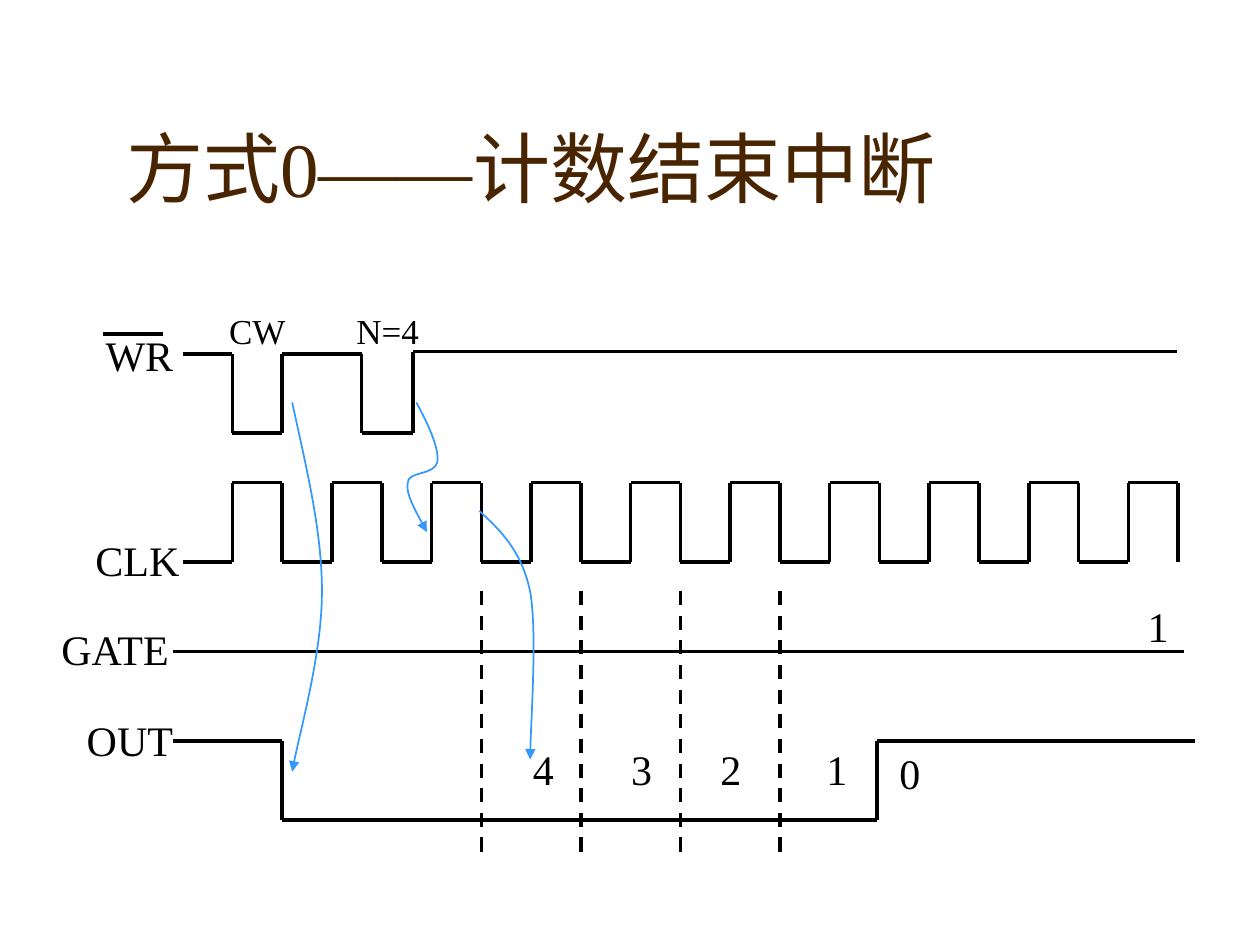
import itertools

import lxml.etree
import pptx
import pptx.dml.color
import pptx.enum.dml
import pptx.enum.shapes
import pptx.enum.text
import pptx.oxml.ns
import pptx.util

Pt = pptx.util.Pt
FONT = "Times New Roman"
INK, TITLE_BROWN, CAUSE_BLUE = "000000", "482400", "3399FF"

CLOCK_START, HALF_PERIOD, HALF_COUNT = 104.4, 28.44, 20
CLOCK_HIGH, CLOCK_LOW = 275.8, 321.1
WRITE_HIGH, WRITE_LOW = 202.3, 247.5
OUT_HIGH, OUT_LOW = 423.4, 468.7


def color(hex_string):
    return pptx.dml.color.RGBColor.from_string(hex_string)


def clock_edge(number):
    return CLOCK_START + number * HALF_PERIOD


def style_font(font, size, hex_string):
    font.name = FONT
    font.size = Pt(size)
    font.color.rgb = color(hex_string)


def add_title(slide, text):
    title = slide.shapes.title
    title.left, title.top, title.width, title.height = Pt(65), Pt(35.3), Pt(612), Pt(90)
    frame = title.text_frame
    frame.text = text
    frame.auto_size = pptx.enum.text.MSO_AUTO_SIZE.NONE
    frame.vertical_anchor = pptx.enum.text.MSO_ANCHOR.BOTTOM
    paragraph = frame.paragraphs[0]
    paragraph.alignment = pptx.enum.text.PP_ALIGN.LEFT
    style_font(paragraph.font, 44, TITLE_BROWN)


def add_label(slide, text, left, top, width=102, size=24):
    label = slide.shapes.add_textbox(Pt(left), Pt(top), Pt(width), Pt(size * 1.5))
    label.text_frame.word_wrap = True
    label.text_frame.text = text
    style_font(label.text_frame.paragraphs[0].font, size, INK)


def add_line(slide, start, end, dashed=False):
    line = slide.shapes.add_connector(
        pptx.enum.shapes.MSO_CONNECTOR.STRAIGHT, *map(Pt, start + end))
    line.line.color.rgb = color(INK)
    line.line.width = Pt(2)
    if dashed:
        line.line.dash_style = pptx.enum.dml.MSO_LINE.DASH
    properties = line.line._get_or_add_ln().getparent()
    lxml.etree.SubElement(properties, pptx.oxml.ns.qn("a:effectLst"))


def add_signal(slide, points):
    for start, end in itertools.pairwise(points):
        add_line(slide, start, end)


def add_cause_arrow(slide, points):
    """Draw Bezier curves: a start, then two controls and an end per curve."""
    qn = pptx.oxml.ns.qn
    builder = slide.shapes.build_freeform(*points[0], scale=Pt(1))
    builder.add_line_segments(points[1:], close=False)
    arrow = builder.convert_to_shape()
    segments = list(arrow._element.iter(qn("a:lnTo")))
    for first in range(0, len(segments), 3):
        curve = lxml.etree.Element(qn("a:cubicBezTo"))
        segments[first].addprevious(curve)
        for segment in segments[first:first + 3]:
            curve.append(segment[0])
            segment.getparent().remove(segment)
    arrow.shadow.inherit = False
    arrow.fill.background()
    arrow.line.color.rgb = color(CAUSE_BLUE)
    arrow.line.width = Pt(1)
    lxml.etree.SubElement(arrow.line._get_or_add_ln(), qn("a:tailEnd"), type="triangle")


def add_write_signal(slide):
    add_label(slide, "WR", 53.3, 185)
    add_line(slide, (59, 190.8), (92.9, 190.8))
    fall, rise = clock_edge(1), clock_edge(2)
    add_signal(slide, [
        (CLOCK_START, WRITE_HIGH), (fall, WRITE_HIGH), (fall, WRITE_LOW),
        (rise, WRITE_LOW), (rise, WRITE_HIGH), (206.6, WRITE_HIGH),
        (206.6, WRITE_LOW), (236, WRITE_LOW), (236, 200.9), (672.8, 200.9)])
    add_label(slide, "CW", 123.8, 173.5, 68.4, 20)
    add_label(slide, "N=4", 196.6, 173.5, size=20)


def add_clock_signal(slide):
    add_label(slide, "CLK", 47.5, 301.7)
    points = []
    for half in range(HALF_COUNT):
        level = CLOCK_HIGH if half % 2 else CLOCK_LOW
        points += [(clock_edge(half), level), (clock_edge(half + 1), level)]
    add_signal(slide, points + [(clock_edge(HALF_COUNT), CLOCK_LOW)])


def add_gate_signal(slide):
    add_label(slide, "GATE", 28, 352.8)
    add_line(slide, (98.6, 372.2), (676.8, 372.2))
    add_label(slide, "1", 648.7, 339.8)


def add_out_signal(slide):
    add_label(slide, "OUT", 42.5, 404.6)
    fall, rise = clock_edge(2), 501.1
    add_signal(slide, [
        (98.6, OUT_HIGH), (fall, OUT_HIGH), (fall, OUT_LOW),
        (rise, OUT_LOW), (rise, OUT_HIGH), (682.6, OUT_HIGH)])
    counts = [("4", 297.4), ("3", 353.5), ("2", 404.6), ("1", 465.1)]
    for count, left in counts:
        add_label(slide, count, left, 421.2, 23)
    add_label(slide, "0", 506.9, 423.4, 23)


def main():
    deck = pptx.Presentation()
    deck.slide_width, deck.slide_height = Pt(720), Pt(540)
    slide = deck.slides.add_slide(deck.slide_layouts.get_by_name("Title Only"))

    add_title(slide, "方式0——计数结束中断")
    add_write_signal(slide)
    add_clock_signal(slide)
    add_gate_signal(slide)
    add_out_signal(slide)
    for edge in range(6, 13, 2):
        add_line(slide, (clock_edge(edge), 337.7), (clock_edge(edge), 491), dashed=True)

    add_cause_arrow(slide, [
        (167, 230.4), (175, 267.1), (183.6, 303.1), (183.6, 338.4),
        (183.6, 373), (169.9, 423.4), (167, 440.6)])
    add_cause_arrow(slide, [
        (238.3, 230.4), (244.8, 243.4), (250.6, 256.3), (249.8, 264.2),
        (248.4, 272.2), (233.3, 269.3), (232.6, 275.8),
        (231.8, 282.2), (238.3, 293), (244.1, 303.8)])
    add_cause_arrow(slide, [
        (274.3, 292.3), (286.6, 303.8), (298.1, 314.6), (303.1, 337.7),
        (307.4, 361.4), (303.1, 418.3), (303.1, 434.2)])

    deck.save("out.pptx")


if __name__ == "__main__":
    main()
